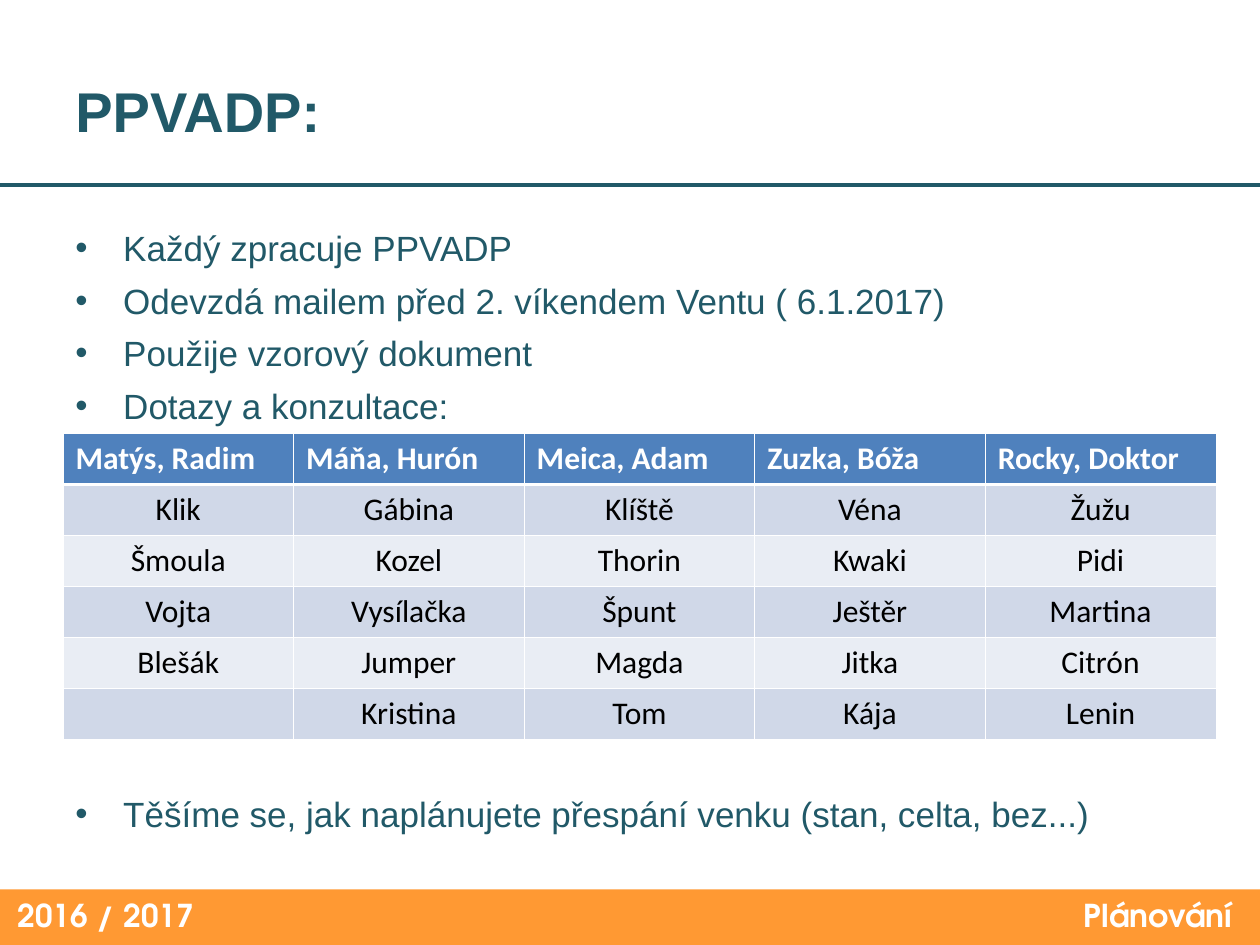
from lxml.etree import SubElement
from pptx import Presentation
from pptx.dml.color import RGBColor
from pptx.enum.shapes import MSO_CONNECTOR, MSO_SHAPE
from pptx.enum.text import MSO_ANCHOR as Anchor, PP_ALIGN as Align
from pptx.oxml.ns import qn
from pptx.util import Inches, Pt

TEAL = RGBColor(0x21, 0x59, 0x68)
ORANGE = RGBColor(0xFF, 0x99, 0x33)
BLUE = RGBColor(0x4F, 0x81, 0xBD)
BAND_DARK = RGBColor(0xD0, 0xD8, 0xE8)
BAND_LIGHT = RGBColor(0xE9, 0xED, 0xF4)
WHITE = RGBColor(0xFF, 0xFF, 0xFF)
BLACK = RGBColor(0, 0, 0)

COLUMNS, ROWS = 100, 75
FOOTER_TOP = 70.6
TASKS = [
    ("Každý zpracuje PPVADP", 0),
    ("Odevzdá mailem před 2. víkendem Ventu ( 6.1.2017)", 6),
    ("Použije vzorový dokument", 6),
    ("Dotazy a konzultace:", 6),
    ("Těšíme se, jak naplánujete přespání venku (stan, celta, bez...)", 209),
]
GROUPS = [
    ["Matýs, Radim", "Máňa, Hurón", "Meica, Adam", "Zuzka, Bóža", "Rocky, Doktor"],
    ["Klik", "Gábina", "Klíště", "Véna", "Žužu"],
    ["Šmoula", "Kozel", "Thorin", "Kwaki", "Pidi"],
    ["Vojta", "Vysílačka", "Špunt", "Ještěr", "Martina"],
    ["Blešák", "Jumper", "Magda", "Jitka", "Citrón"],
    ["", "Kristina", "Tom", "Kája", "Lenin"],
]


class SlideBuilder:
    """Draws styled elements on one slide, measured in grid columns and rows."""

    body_font, table_font, footer_font = "Arial", "Calibri", "TeX Gyre Adventor"

    def __init__(self, deck):
        self.width, self.height = deck.slide_width, deck.slide_height
        self.slide = deck.slides.add_slide(deck.slide_layouts[6])

    def x(self, columns):
        return round(self.width * columns / COLUMNS)

    def y(self, rows):
        return round(self.height * rows / ROWS)

    def place(self, left, top, width, height):
        return self.x(left), self.y(top), self.x(width), self.y(height)

    def add_text(self, paragraph, text, font, size, color, bold=False):
        run = paragraph.add_run()
        run.text = text
        run.font.name, run.font.size, run.font.bold = font, Pt(size), bold
        run.font.color.rgb = color

    def band(self, area, color):
        band = self.slide.shapes.add_shape(MSO_SHAPE.RECTANGLE, *self.place(*area))
        band.shadow.inherit = False
        band.fill.solid()
        band.fill.fore_color.rgb = color
        band.line.fill.background()

    def rule(self, row, color, weight):
        rule = self.slide.shapes.add_connector(
            MSO_CONNECTOR.STRAIGHT, 0, self.y(row), self.width, self.y(row))
        rule.line.color.rgb, rule.line.width = color, Pt(weight)
        SubElement(rule._element.spPr, qn("a:effectLst"))

    def frame(self, area, anchor=Anchor.TOP):
        frame = self.slide.shapes.add_textbox(*self.place(*area)).text_frame
        frame.word_wrap, frame.vertical_anchor = True, anchor
        return frame

    def title(self, area, text):
        heading = self.frame(area, Anchor.MIDDLE).paragraphs[0]
        self.add_text(heading, text, self.body_font, 32, TEAL, True)

    def footer(self, left, width, text, align):
        label = self.frame((left, FOOTER_TOP, width, 4)).paragraphs[0]
        label.alignment = align
        self.add_text(label, text, self.footer_font, 18, WHITE, True)

    def bullets(self, area, items):
        frame = self.frame(area)
        for index, (text, gap) in enumerate(items):
            item = frame.add_paragraph() if index else frame.paragraphs[0]
            item.space_before = Pt(gap)
            properties = item._p.get_or_add_pPr()
            indent = Inches(0.38)
            properties.set("marL", str(indent))
            properties.set("indent", str(-indent))
            color = SubElement(properties, qn("a:buClr"))
            SubElement(color, qn("a:srgbClr"), val=str(TEAL))
            SubElement(properties, qn("a:buFont"), typeface=self.body_font)
            SubElement(properties, qn("a:buChar"), char="•")
            self.add_text(item, text, self.body_font, 20, TEAL)

    def borders(self, cell, top, bottom):
        properties = cell._tc.get_or_add_tcPr()
        for side, weight in zip("LRTB", (0.45, 0.45, top, bottom)):
            border = SubElement(properties, qn(f"a:ln{side}"), w=str(Pt(weight)))
            fill = SubElement(border, qn("a:solidFill"))
            SubElement(fill, qn("a:srgbClr"), val=str(WHITE))

    def table(self, left, top, column_width, row_height, rows):
        area = (left, top, column_width * len(rows[0]), row_height * len(rows))
        table = self.slide.shapes.add_table(
            len(rows), len(rows[0]), *self.place(*area)).table
        for row, names in enumerate(rows):
            table.rows[row].height = self.y(row_height)
            header = row == 0
            band = BLUE if header else BAND_DARK if row % 2 else BAND_LIGHT
            for column, name in enumerate(names):
                cell = table.cell(row, column)
                self.borders(cell, 1.47 if row == 1 else 0.45, 1.47 if header else 0.45)
                cell.fill.solid()
                cell.fill.fore_color.rgb = band
                entry = cell.text_frame.paragraphs[0]
                entry.alignment = Align.LEFT if header else Align.CENTER
                self.add_text(entry, name, self.table_font, 18,
                              WHITE if header else BLACK, header)


def main():
    deck = Presentation()
    deck.slide_width, deck.slide_height = Inches(10), Inches(7.5)
    plan = SlideBuilder(deck)
    plan.band((0, FOOTER_TOP, COLUMNS, ROWS - FOOTER_TOP), ORANGE)
    plan.rule(14.7, TEAL, 2.5)
    plan.footer(0.4, 18.9, "2016 / 2017", Align.LEFT)
    plan.title((5, 5.2, 53.7, 7.1), "PPVADP:")
    plan.bullets((5, 17.5, 90, 49.5), TASKS)
    plan.footer(76, 22.8, "Plánování", Align.RIGHT)
    plan.table(5, 34.4, 18.3, 4.05, GROUPS)
    deck.save("out.pptx")


if __name__ == "__main__":
    main()
